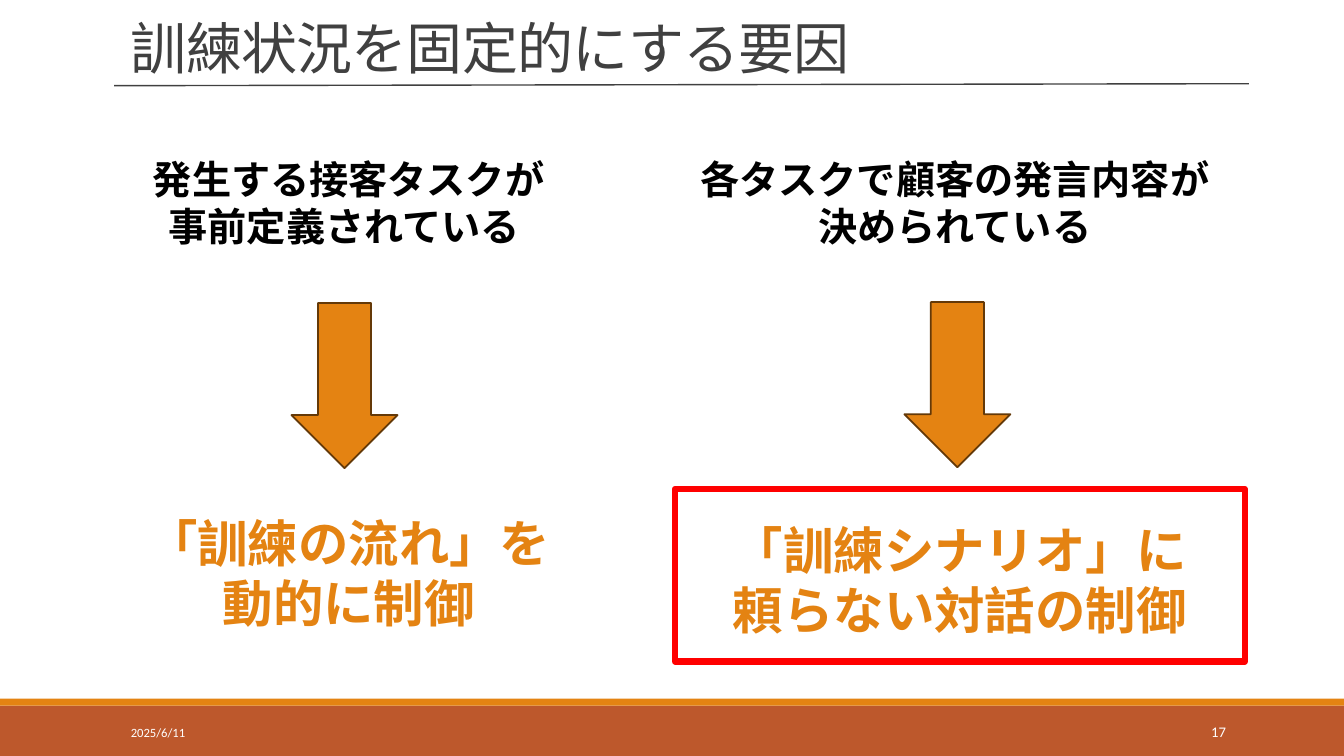
from dataclasses import dataclass

import pptx
import pptx.dml.color
import pptx.enum.shapes
import pptx.enum.text
import pptx.oxml
import pptx.oxml.ns
import pptx.slide
import pptx.util
from pptx.util import Pt

Rgb = pptx.dml.color.RGBColor
Align = pptx.enum.text.PP_ALIGN
Anchor = pptx.enum.text.MSO_ANCHOR
Preset = pptx.enum.shapes.MSO_SHAPE


@dataclass(frozen=True)
class Theme:
    font: str = "Calibri"
    title_color: Rgb = Rgb(0x40, 0x40, 0x40)
    cause_color: Rgb = Rgb(0, 0, 0)
    accent: Rgb = Rgb(0xE4, 0x83, 0x12)
    arrow_edge: Rgb = Rgb(0x64, 0x39, 0x08)
    footer: Rgb = Rgb(0xBD, 0x58, 0x2C)
    footer_text: Rgb = Rgb(0xFF, 0xFF, 0xFF)
    highlight: Rgb = Rgb(0xFF, 0, 0)
    title_size: float = 40
    cause_size: float = 28
    remedy_size: float = 36
    date_size: float = 9
    number_size: float = 10.5


THEME = Theme()


@dataclass(frozen=True)
class Box:
    left: float
    top: float
    width: float
    height: float

    def lengths(self) -> tuple[Pt, Pt, Pt, Pt]:
        return Pt(self.left), Pt(self.top), Pt(self.width), Pt(self.height)


@dataclass(frozen=True)
class Label:
    box: Box
    lines: tuple[str, ...]
    size: float
    color: Rgb
    bold: bool = False
    align: Align = Align.LEFT
    anchor: Anchor = Anchor.TOP
    line_spacing: float = 1.0
    tracking: float = 0


@dataclass(frozen=True)
class Panel:
    box: Box
    preset: Preset = Preset.RECTANGLE
    fill: Rgb | None = None
    edge: Rgb | None = None
    edge_width: float = 0


def draw_label(slide: pptx.slide.Slide, label: Label) -> None:
    frame = slide.shapes.add_textbox(*label.box.lengths()).text_frame
    frame.word_wrap = True
    frame.vertical_anchor = label.anchor
    for index, line in enumerate(label.lines):
        paragraph = frame.add_paragraph() if index else frame.paragraphs[0]
        paragraph.alignment = label.align
        paragraph.line_spacing = label.line_spacing
        run = paragraph.add_run()
        run.text = line
        run.font.name = THEME.font
        run.font.size = Pt(label.size)
        run.font.bold = label.bold
        run.font.color.rgb = label.color
        if label.tracking:
            run._r.get_or_add_rPr().set("spc", str(round(label.tracking * 100)))


def draw_panel(slide: pptx.slide.Slide, panel: Panel) -> None:
    shape = slide.shapes.add_shape(panel.preset, *panel.box.lengths())
    shape.shadow.inherit = False
    if panel.fill is None:
        shape.fill.background()
    else:
        shape.fill.solid()
        shape.fill.fore_color.rgb = panel.fill
    if panel.edge is None:
        shape.line.fill.background()
    else:
        shape.line.color.rgb = panel.edge
        shape.line.width = Pt(panel.edge_width)


def draw_title_rule(slide: pptx.slide.Slide) -> None:
    rule = slide.shapes.add_connector(
        pptx.enum.shapes.MSO_CONNECTOR.STRAIGHT, Pt(81.5), Pt(61.2), Pt(892), Pt(59.8))
    rule.line.color.rgb = THEME.title_color
    rule.line.width = Pt(1)
    rule._element.spPr.append(pptx.oxml.parse_xml(
        f"<a:effectLst {pptx.oxml.ns.nsdecls('a')}/>"))


def cause(box: Box, *lines: str) -> Label:
    return Label(box, lines, THEME.cause_size, THEME.cause_color, True, Align.CENTER)


def remedy(box: Box, *lines: str) -> Label:
    return Label(box, lines, THEME.remedy_size, THEME.accent, True, Align.CENTER)


def arrow(left: float, top: float) -> Panel:
    return Panel(Box(left, top, 75.8, 118), Preset.DOWN_ARROW,
                 THEME.accent, THEME.arrow_edge, 1.25)


PANELS = (
    # Footer band and its accent strip
    Panel(Box(0, 504, 960, 36), fill=THEME.footer),
    Panel(Box(0, 499, 960, 5), fill=THEME.accent),
    # Arrows from cause to remedy
    arrow(208.2, 216.4),
    arrow(646, 215.8),
    # Highlight around the right-hand remedy
    Panel(Box(482.2, 349.3, 407, 123.2), edge=THEME.highlight, edge_width=4.5),
)

LABELS = (
    # Title
    Label(Box(86.4, 1.5, 792, 59.7), ("訓練状況を固定的にする要因",),
          THEME.title_size, THEME.title_color, anchor=Anchor.BOTTOM,
          line_spacing=0.85, tracking=-0.5),
    # Date and slide number
    Label(Box(86.4, 508.5, 194.4, 28.8), ("2025/6/11",),
          THEME.date_size, THEME.footer_text, anchor=Anchor.MIDDLE),
    Label(Box(779.8, 508.5, 103, 28.8), ("17",), THEME.number_size,
          THEME.footer_text, align=Align.RIGHT, anchor=Anchor.MIDDLE),
    # Causes
    cause(Box(39.6, 107.2, 412.5, 75), " 発生する接客タスクが", "事前定義されている"),
    cause(Box(483, 107.2, 398, 75), "各タスクで顧客の発言内容が", "決められている"),
    # Remedies
    remedy(Box(86.4, 362.2, 325.4, 94.3), "「訓練の流れ」を", "動的に制御"),
    remedy(Box(484.6, 367.2, 401.8, 94.3), "「訓練シナリオ」に", "頼らない対話の制御"),
)


def main() -> None:
    deck = pptx.Presentation()
    deck.slide_width, deck.slide_height = Pt(960), Pt(540)
    slide = deck.slides.add_slide(deck.slide_layouts[6])
    for panel in PANELS:
        draw_panel(slide, panel)
    draw_title_rule(slide)
    for label in LABELS:
        draw_label(slide, label)
    deck.save("out.pptx")


if __name__ == "__main__":
    main()
